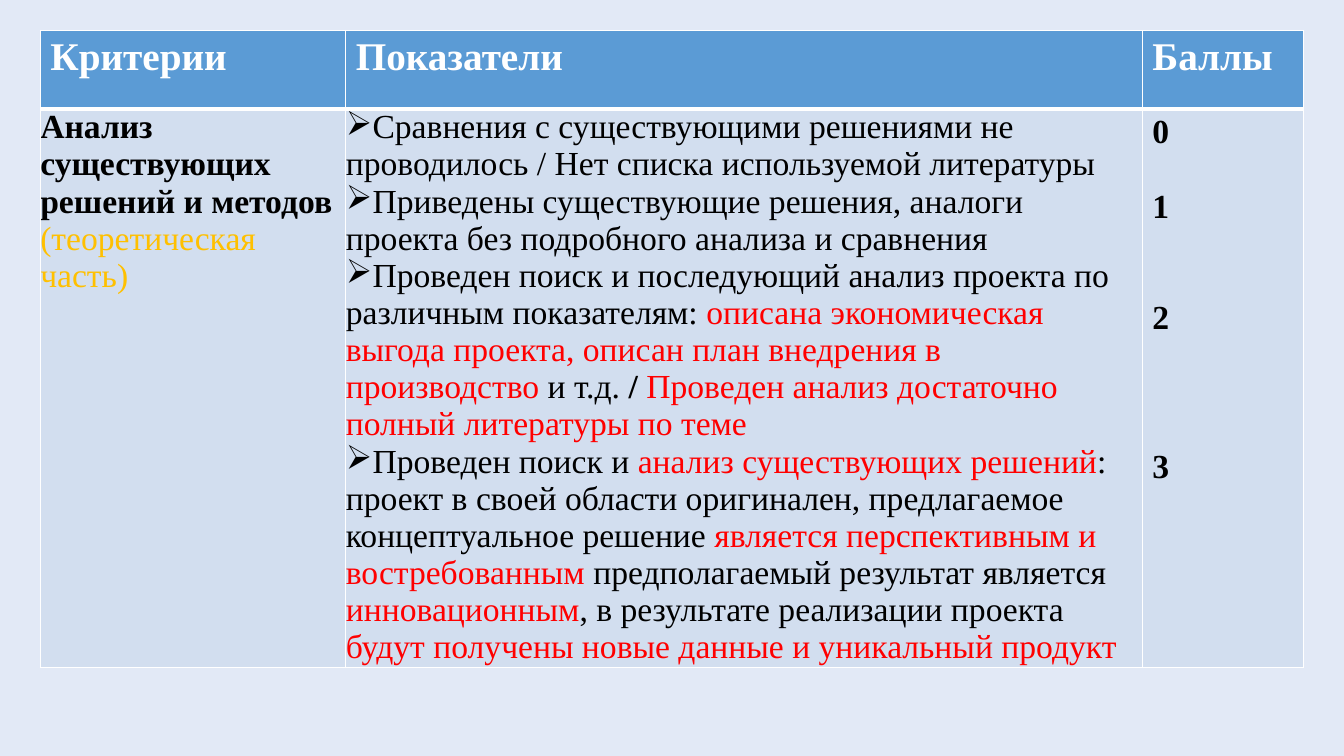
"""Builds a slide with a table of project assessment criteria."""
from lxml import etree
from pptx import Presentation
from pptx.dml.color import RGBColor
from pptx.enum.text import PP_ALIGN
from pptx.oxml.ns import qn
from pptx.util import Inches, Pt

JUSTIFY = PP_ALIGN.JUSTIFY
BLANK_LAYOUT = 6
WHITE, BLACK, RED, GOLD = "FFFFFF", "000000", "FF0000", "FFC000"
PAGE_FILL, HEADER_FILL, BODY_FILL = "E2E9F6", "5B9BD5", "D2DEEF"
LINE_PITCH = 26.57


def color(value):
    return RGBColor.from_string(value)


class SlideBuilder:
    font = "Times New Roman"
    body_size = 24
    header_size = 28

    def __init__(self, deck):
        self.page = deck.slides.add_slide(deck.slide_layouts[BLANK_LAYOUT])

    def background(self, fill):
        self.page.background.fill.solid()
        self.page.background.fill.fore_color.rgb = color(fill)

    def table(self, left, top, widths, heights):
        frame = self.page.shapes.add_table(
            len(heights), len(widths), Inches(left), Inches(top),
            Inches(sum(widths)), Inches(sum(heights)))
        grid = frame.table
        for column, width in zip(grid.columns, widths):
            column.width = Inches(width)
        for row, height in zip(grid.rows, heights):
            row.height = Inches(height)
        return grid

    def style_cell(self, cell, fill, top=1, bottom=1, inset=True):
        properties = cell._tc.get_or_add_tcPr()
        for side, width in (("L", 1), ("R", 1), ("T", top), ("B", bottom)):
            line = etree.SubElement(properties, qn(f"a:ln{side}"), w=str(Pt(width)))
            solid = etree.SubElement(line, qn("a:solidFill"))
            etree.SubElement(solid, qn("a:srgbClr"), val=WHITE)
        cell.fill.solid()
        cell.fill.fore_color.rgb = color(fill)
        if not inset:
            cell.margin_left = cell.margin_right = 0
            cell.margin_top = cell.margin_bottom = 0

    def paragraph(self, cell, index, spans, size=body_size):
        frame = cell.text_frame
        para = frame.add_paragraph() if index else frame.paragraphs[0]
        for text, ink, bold in spans:
            span = para.add_run()
            span.text = text
            span.font.name = self.font
            span.font.size = Pt(size)
            span.font.bold = bold
            span.font.color.rgb = color(ink)
        return para

    def bullet(self, para, mark):
        properties = para._p.get_or_add_pPr()
        properties.set("marL", "0")
        properties.set("indent", "0")
        etree.SubElement(properties, qn("a:buChar"), char=mark)


HEADERS = ["Критерии", "Показатели", "Баллы"]
CRITERION = [
    [("Анализ существующих решений и методов", BLACK, True)],
    [("(теоретическая часть)", GOLD, False)],
]
INDICATORS = [
    [("Сравнения с существующими решениями не проводилось / "
      "Нет списка используемой литературы", BLACK, False)],
    [("Приведены существующие решения, аналоги проекта "
      "без подробного анализа и сравнения ", BLACK, False)],
    [("Проведен поиск и последующий анализ проекта "
      "по различным показателям: ", BLACK, False),
     ("описана экономическая выгода проекта, "
      "описан план внедрения в производство", RED, False),
     (" и т.д. ", BLACK, False),
     ("/ ", BLACK, True),
     ("Проведен анализ достаточно полный литературы по теме", RED, False)],
    [("Проведен поиск и ", BLACK, False),
     ("анализ существующих решений", RED, False),
     (": проект в своей области оригинален, "
      "предлагаемое концептуальное решение ", BLACK, False),
     ("является перспективным и востребованным ", RED, False),
     ("предполагаемый результат является ", BLACK, False),
     ("инновационным", RED, False),
     (", в результате реализации проекта ", BLACK, False),
     ("будут получены новые данные и уникальный продукт ", RED, False)],
]

deck = Presentation()
deck.slide_width, deck.slide_height = Inches(13.33), Inches(7.5)
slide = SlideBuilder(deck)
slide.background(PAGE_FILL)
grid = slide.table(0.4, 0.3, [3.03, 7.9, 1.6], [0.78, 5.54])

for column, header in enumerate(HEADERS):
    cell = grid.cell(0, column)
    slide.style_cell(cell, HEADER_FILL, bottom=3)
    slide.paragraph(cell, 0, [(header, WHITE, True)], slide.header_size)

criterion_cell, indicator_cell, score_cell = (grid.cell(1, column) for column in range(3))
slide.style_cell(criterion_cell, BODY_FILL, top=3, inset=False)
slide.style_cell(indicator_cell, BODY_FILL, top=3, inset=False)
slide.style_cell(score_cell, BODY_FILL, top=3)

for index, spans in enumerate(CRITERION):
    slide.paragraph(criterion_cell, index, spans)
for index, spans in enumerate(INDICATORS):
    slide.bullet(slide.paragraph(indicator_cell, index, spans), "➢")
for score in range(len(INDICATORS)):
    para = slide.paragraph(score_cell, score, [(str(score), BLACK, True)])
    para.alignment = JUSTIFY
    para.space_before = Pt(score * LINE_PITCH)

deck.save("out.pptx")
